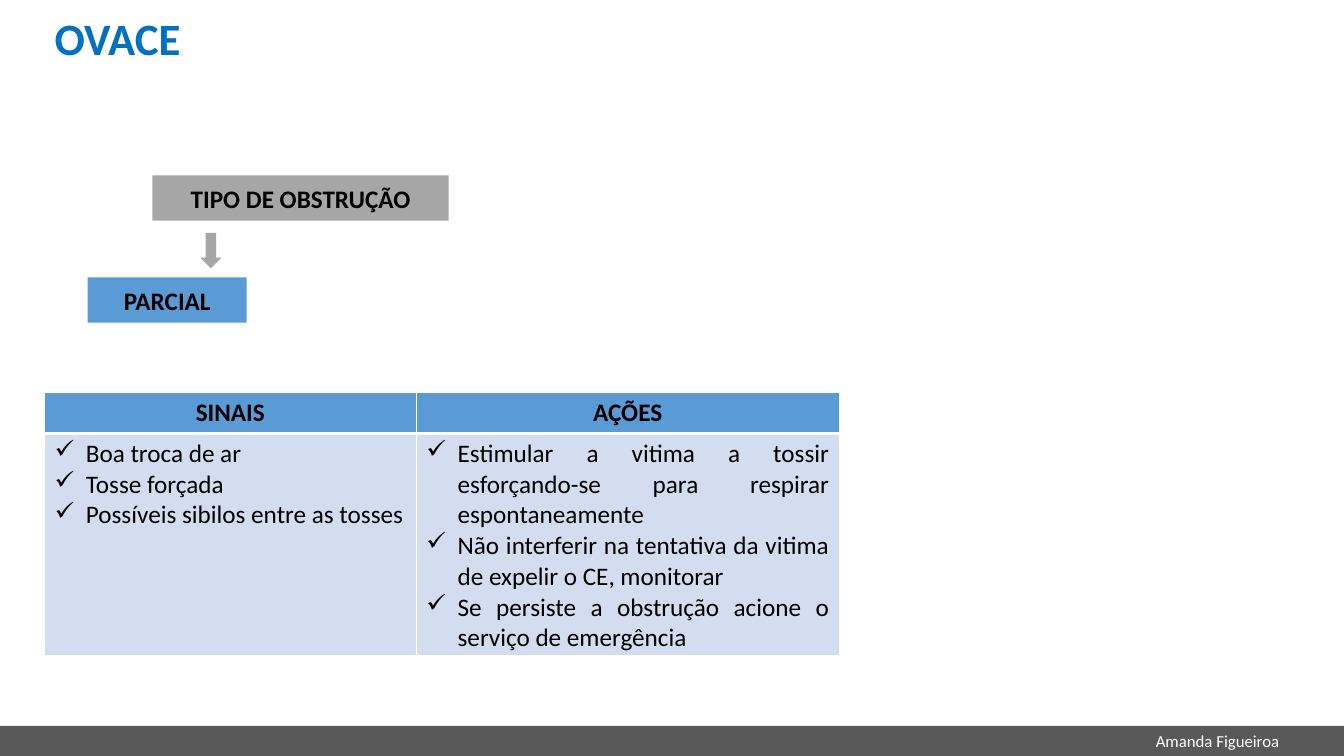
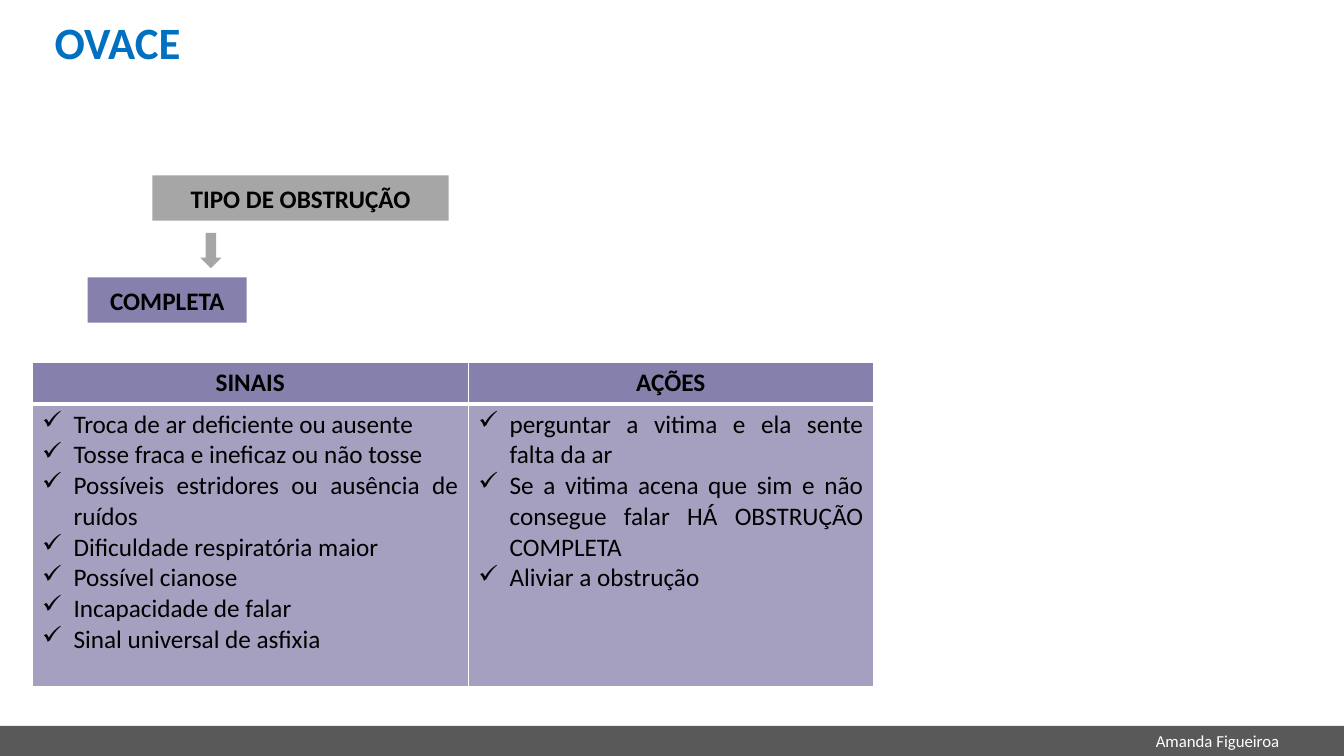
from lxml import etree
from pptx import Presentation
from pptx.dml.color import RGBColor
from pptx.enum.shapes import MSO_SHAPE
from pptx.enum.text import MSO_ANCHOR, MSO_AUTO_SIZE, PP_ALIGN
from pptx.oxml.ns import qn
from pptx.util import Cm, Pt

RECTANGLE, DOWN_ARROW = MSO_SHAPE.RECTANGLE, MSO_SHAPE.DOWN_ARROW
LEFT, CENTER, JUSTIFY = PP_ALIGN.LEFT, PP_ALIGN.CENTER, PP_ALIGN.JUSTIFY
TOP, MIDDLE = MSO_ANCHOR.TOP, MSO_ANCHOR.MIDDLE
NO_AUTOFIT = MSO_AUTO_SIZE.NONE

FONT = "Calibri"
BLACK, WHITE, TITLE_BLUE = "000000", "FFFFFF", "0070C0"
BAND_GRAY, FLOW_GRAY = "595959", "A6A6A6"
SLIDE_WIDTH, SLIDE_HEIGHT = Cm(33.87), Cm(19.05)
BAND_TOP = Cm(18.29)
HEADER_HEIGHT = Cm(1.04)
BULLET_INDENT = Cm(0.79)
HEADINGS = ["SINAIS", "AÇÕES"]

OBSTRUCTIONS = [
    {
        "kind": "PARCIAL", "color": "5B9BD5", "tint": "D2DEEF",
        "title_top": 0.13, "table_at": (1.12, 9.88),
        "columns": (9.37, 10.66), "body_height": 5.59,
        "signs": ["Boa troca de ar", "Tosse forçada", "Possíveis sibilos entre as tosses"],
        "actions": [
            "Estimular a vitima a tossir esforçando-se para respirar espontaneamente",
            "Não interferir na tentativa da vitima de expelir o CE, monitorar",
            "Se persiste a obstrução acione o serviço de emergência",
        ],
    },
    {
        "kind": "COMPLETA", "color": "8680AC", "tint": "A5A0C0",
        "title_top": 0.25, "table_at": (0.81, 9.14),
        "columns": (10.99, 10.21), "body_height": 7.11,
        "signs": [
            "Troca de ar deficiente ou ausente",
            "Tosse fraca e ineficaz ou não tosse",
            "Possíveis estridores ou ausência de ruídos",
            "Dificuldade respiratória maior",
            "Possível cianose",
            "Incapacidade de falar",
            "Sinal universal de asfixia",
        ],
        "actions": [
            "perguntar a vitima e ela sente falta da ar",
            "Se a vitima acena que sim e não consegue falar HÁ OBSTRUÇÃO COMPLETA",
            "Aliviar a obstrução",
        ],
    },
]


def paint(color_owner, color):
    """Give a fill a solid colour."""
    color_owner.solid()
    color_owner.fore_color.rgb = RGBColor.from_string(color)


def write(frame, text, size, color, bold=False, align=CENTER):
    frame.text = text
    for paragraph in frame.paragraphs:
        paragraph.alignment = align
        for run in paragraph.runs:
            run.font.name, run.font.size, run.font.bold = FONT, Pt(size), bold
            paint(run.font.fill, color)


prs = Presentation()
prs.slide_width, prs.slide_height = SLIDE_WIDTH, SLIDE_HEIGHT
title_only = prs.slide_layouts[5]

for obstruction in OBSTRUCTIONS:
    slide = prs.slides.add_slide(title_only)
    shapes = slide.shapes

    title = shapes.title
    title.left, title.top = Cm(1.12), Cm(obstruction["title_top"])
    title.width, title.height = Cm(3.71), Cm(1.63)
    title.text_frame.word_wrap = False
    title.text_frame.auto_size = NO_AUTOFIT
    title.text_frame.vertical_anchor = TOP
    write(title.text_frame, "OVACE", 32, TITLE_BLUE, bold=True, align=LEFT)

    # Footer band and the flow from obstruction type to its kind
    for preset, color, label, left, top, width, height in [
        (RECTANGLE, BAND_GRAY, "", 0, BAND_TOP, SLIDE_WIDTH, SLIDE_HEIGHT - BAND_TOP),
        (RECTANGLE, FLOW_GRAY, "TIPO DE OBSTRUÇÃO", Cm(3.84), Cm(4.42), Cm(7.47), Cm(1.14)),
        (DOWN_ARROW, FLOW_GRAY, "", Cm(5.05), Cm(5.87), Cm(0.53), Cm(0.89)),
        (RECTANGLE, obstruction["color"], obstruction["kind"],
         Cm(2.21), Cm(6.99), Cm(4.01), Cm(1.14)),
    ]:
        block = shapes.add_shape(preset, left, top, width, height)
        block.shadow.inherit = False
        paint(block.fill, color)
        block.line.fill.background()
        if label:
            block.text_frame.vertical_anchor = MIDDLE
            write(block.text_frame, label, 18, BLACK, bold=True)

    author = shapes.add_textbox(Cm(27.51), BAND_TOP, Cm(6.35), Cm(0.76))
    author.text_frame.word_wrap = True
    write(author.text_frame, "Amanda Figueiroa", 12, WHITE)

    left, top = (Cm(value) for value in obstruction["table_at"])
    body_height = Cm(obstruction["body_height"])
    table = shapes.add_table(2, 2, left, top, Cm(sum(obstruction["columns"])),
                             HEADER_HEIGHT + body_height).table
    table.rows[0].height, table.rows[1].height = HEADER_HEIGHT, body_height

    lists = [obstruction["signs"], obstruction["actions"]]
    for column, (heading, items) in enumerate(zip(HEADINGS, lists)):
        table.columns[column].width = Cm(obstruction["columns"][column])
        header, body = table.cell(0, column), table.cell(1, column)
        write(header.text_frame, heading, 18, BLACK, bold=True)
        write(body.text_frame, "\n".join(items), 18, BLACK, align=JUSTIFY)

        for paragraph in body.text_frame.paragraphs:
            properties = paragraph._p.get_or_add_pPr()
            properties.set("marL", str(BULLET_INDENT))
            properties.set("indent", str(-BULLET_INDENT))
            etree.SubElement(properties, qn("a:buChar"), char="✓")

        # The rule between header and body is thicker than the other borders
        for cell, color, thick_side in [(header, obstruction["color"], "lnB"),
                                        (body, obstruction["tint"], "lnT")]:
            cell_properties = cell._tc.get_or_add_tcPr()
            for side in ("lnL", "lnR", "lnT", "lnB"):
                width = Pt(3 if side == thick_side else 1)
                border = etree.SubElement(cell_properties, qn(f"a:{side}"), w=str(width))
                border_fill = etree.SubElement(border, qn("a:solidFill"))
                etree.SubElement(border_fill, qn("a:srgbClr"), val=WHITE)
            paint(cell.fill, color)

prs.save("out.pptx")
